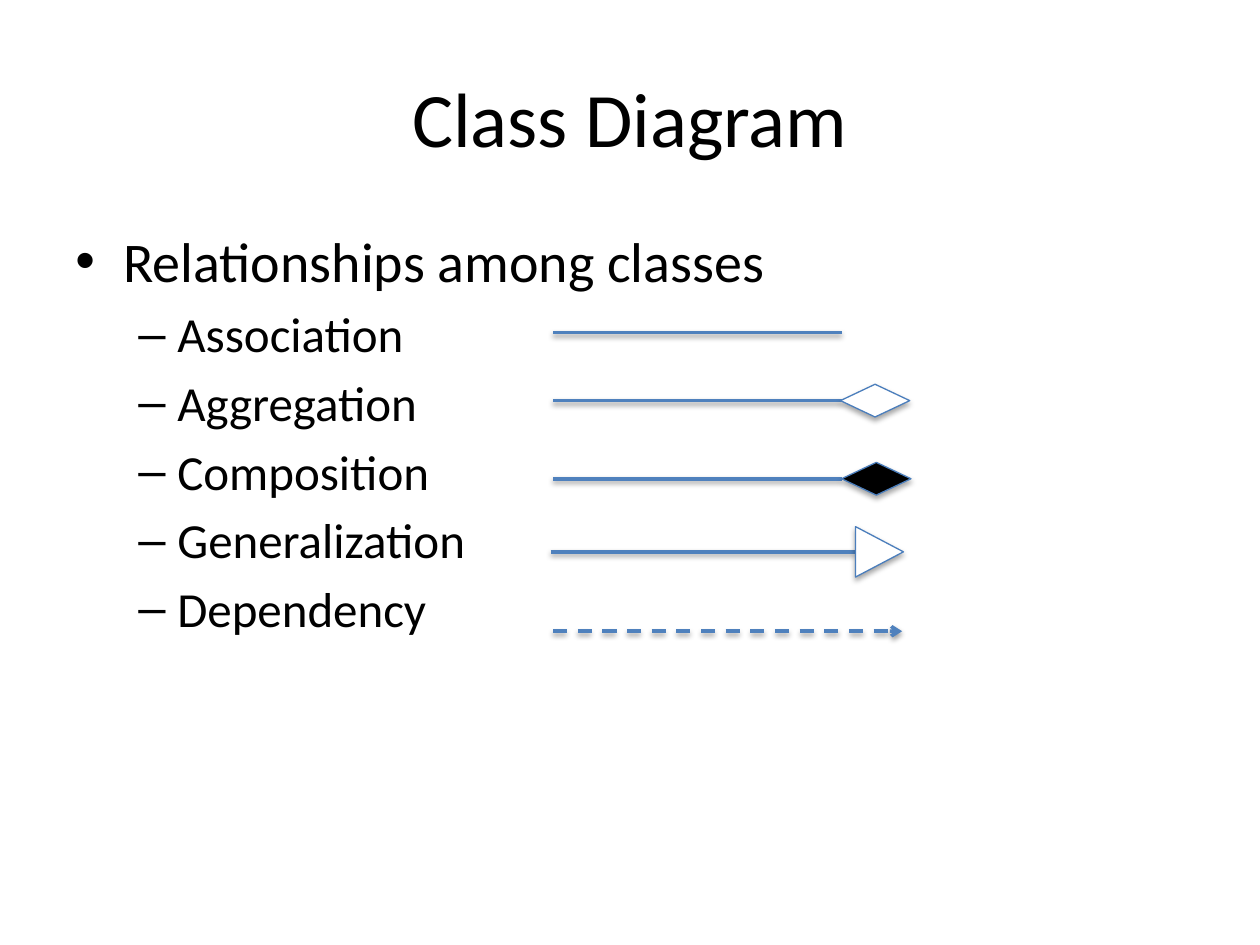
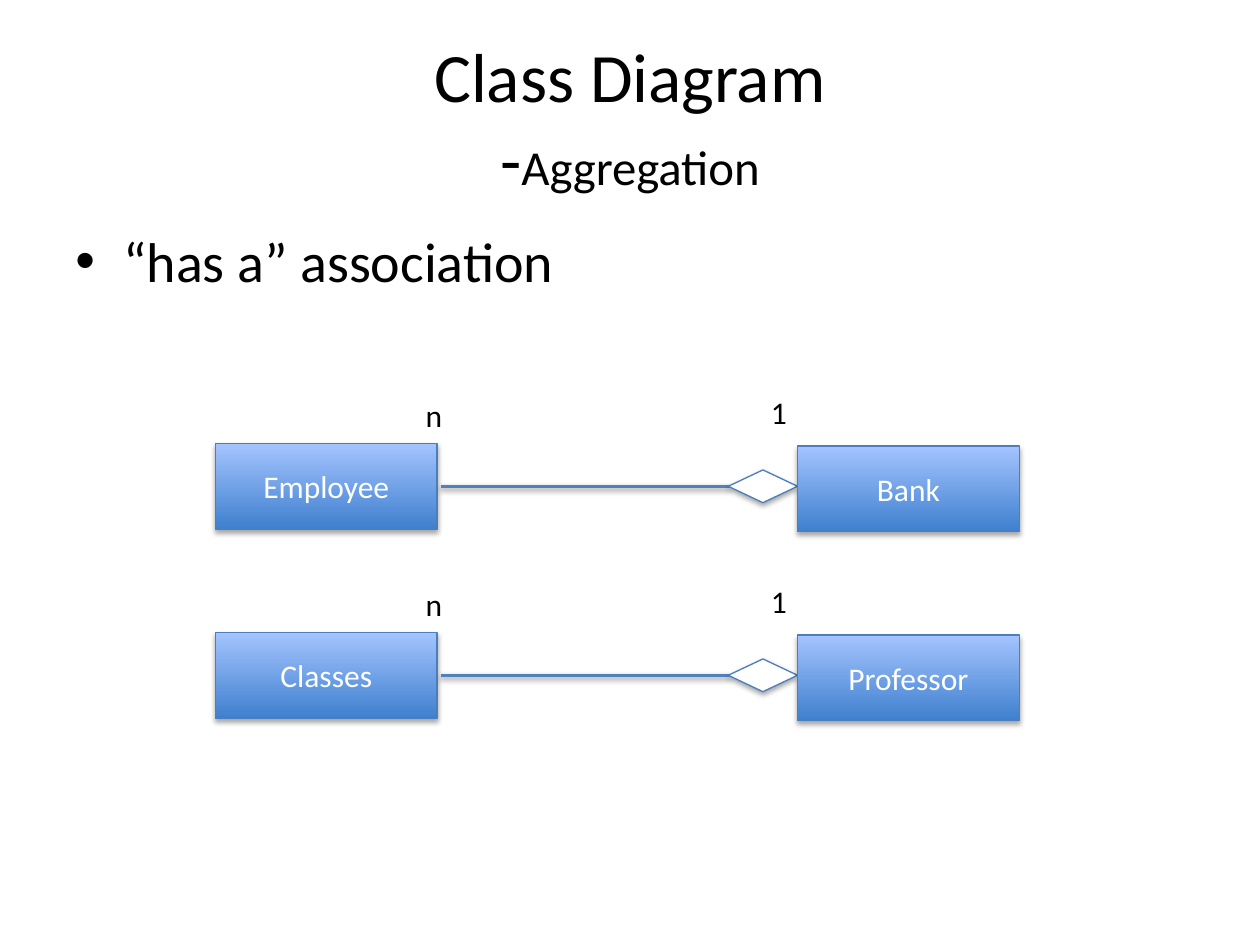
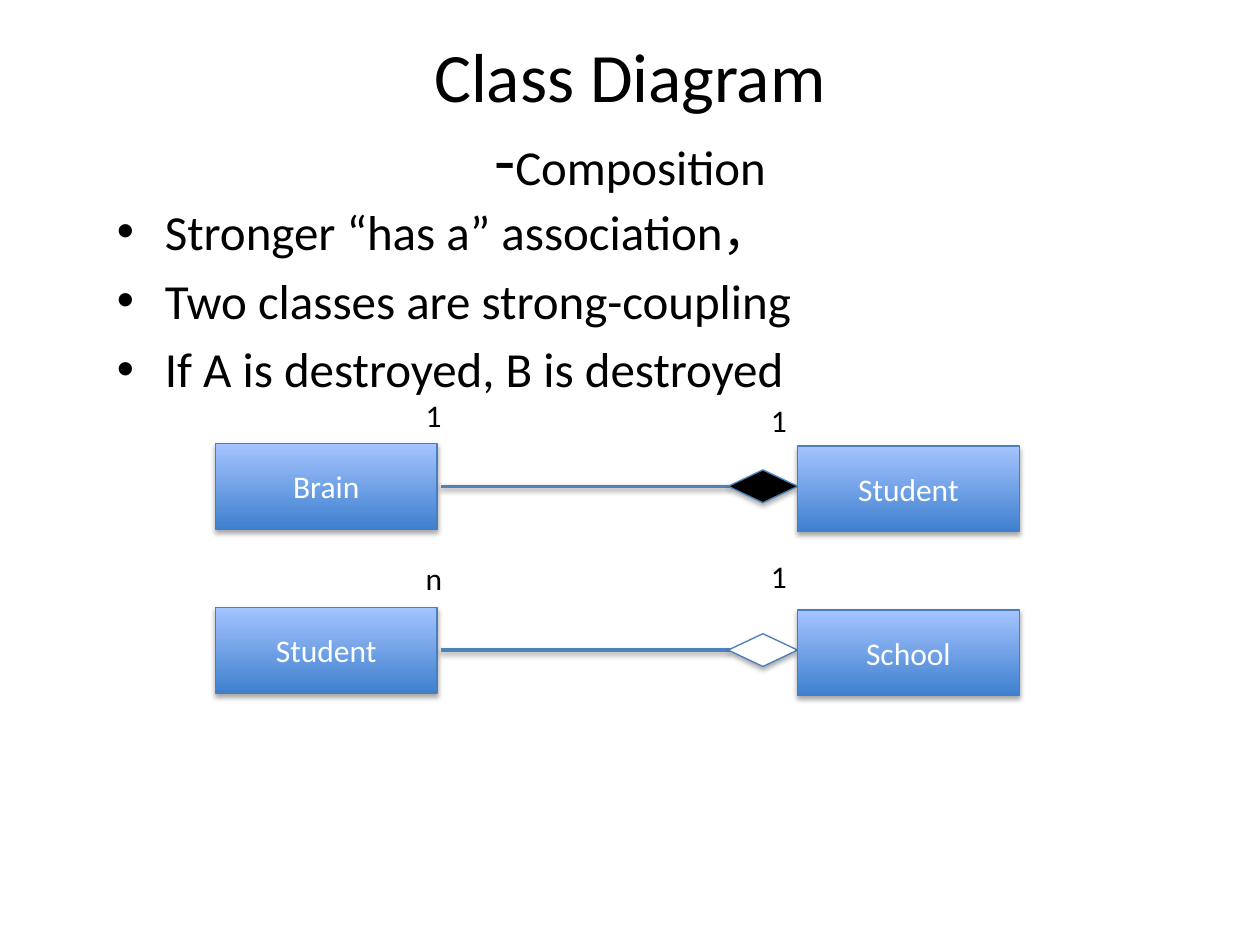
import pptx
import pptx.util
import pptx.dml.color
import pptx.enum.dml
import pptx.enum.shapes
import pptx.enum.text
import pptx.oxml
import pptx.oxml.ns
import lxml.etree

Inches = pptx.util.Inches
Pt = pptx.util.Pt
SHAPES = pptx.enum.shapes.MSO_SHAPE
ANCHOR = pptx.enum.text.MSO_ANCHOR
ALIGN = pptx.enum.text.PP_ALIGN

COLOURS = {
    "text": "000000",
    "light": "FFFFFF",
    "solid": "000000",
    "hollow": "FFFFFF",
    "line": "4F81BD",
    "outline": "4B7EBC",
    "class_bottom": "3F80CE",
    "class_top": "A4C4FF",
    "shadow": "000000",
}
FONT = "Calibri"
TITLE_BOX = (0.5, 0.3, 9, 1.25)
BODY_BOX = (0.5, 1.75, 9, 4.95)
DIAMOND_SIZE = (0.55, 0.26)
CLASS_SIZE = (1.76, 0.68)


def colour(name):
    return pptx.dml.color.RGBColor.from_string(COLOURS[name])


def style_font(font, size, name="text"):
    font.name = FONT
    font.size = Pt(size)
    font.color.rgb = colour(name)


def add_child(parent, tag, **attributes):
    child = lxml.etree.SubElement(parent, pptx.oxml.ns.qn(tag))
    for key, value in attributes.items():
        child.set(key, str(value))
    return child


def add_shadow(shape, alpha, distance):
    """Soft shadow straight below; the line must be styled beforehand."""
    effects = add_child(shape.element.spPr, "a:effectLst")
    outer = add_child(effects, "a:outerShdw", blurRad=Pt(3.1), dist=Pt(distance),
                      dir=90 * 60000, rotWithShape=0)
    shade = add_child(outer, "a:srgbClr", val=COLOURS["shadow"])
    add_child(shade, "a:alpha", val=alpha * 1000)


# Text
def add_text_box(page, box):
    frame = page.shapes.add_textbox(*map(Inches, box)).text_frame
    frame.word_wrap = True
    return frame


def add_title(page, title, subtitle=None):
    frame = add_text_box(page, TITLE_BOX)
    frame.vertical_anchor = ANCHOR.MIDDLE
    para = frame.paragraphs[0]
    para.alignment = ALIGN.CENTER
    style_font(para.font, 39.6 if subtitle else 44)
    para.add_run().text = title
    if subtitle:
        para.add_line_break()
        para.add_run().text = "-"
        span = para.add_run()
        span.text = subtitle
        span.font.size = Pt(27.9)


def add_bullets(page, box, items):
    """Items are (level, size, text)."""
    frame = add_text_box(page, box)
    for index, (level, size, text) in enumerate(items):
        para = frame.add_paragraph() if index else frame.paragraphs[0]
        para.text = text
        para.level = level
        para.space_before = Pt(0.2 * size)
        style_font(para.font, size)
        left, hang, mark = ((0.38, 0.38, "•"), (0.81, 0.31, "–"))[level]
        settings = para._p.get_or_add_pPr()
        settings.set("marL", str(Inches(left)))
        settings.set("indent", str(-Inches(hang)))
        bullet_font = pptx.oxml.parse_xml(
            '<a:buFont %s typeface="Arial"/>' % pptx.oxml.ns.nsdecls("a"))
        bullet = pptx.oxml.parse_xml(
            '<a:buChar %s char="%s"/>' % (pptx.oxml.ns.nsdecls("a"), mark))
        defaults = settings.find(pptx.oxml.ns.qn("a:defRPr"))
        defaults.addprevious(bullet_font)
        defaults.addprevious(bullet)


def add_multiplicity(page, left, top, text):
    frame = add_text_box(page, (left, top, 0.63, 0.4))
    frame.auto_size = pptx.enum.text.MSO_AUTO_SIZE.SHAPE_TO_FIT_TEXT
    para = frame.paragraphs[0]
    para.text = text
    style_font(para.font, 18)


# Diagram parts
def add_line(page, left, right, y, dashed_arrow=False):
    line = page.shapes.add_connector(
        pptx.enum.shapes.MSO_CONNECTOR.STRAIGHT,
        Inches(left), Inches(y), Inches(right), Inches(y))
    line.line.color.rgb = colour("line")
    line.line.width = Pt(2)
    if dashed_arrow:
        line.line.dash_style = pptx.enum.dml.MSO_LINE.DASH
        add_child(line.line._get_or_add_ln(), "a:tailEnd", type="arrow")
    add_shadow(line, 38, 1.6)


def add_outlined(page, kind, box, fill=None):
    """Shape with a thin outline; without a fill name it gets the gradient."""
    shape = page.shapes.add_shape(kind, *map(Inches, box))
    if fill:
        shape.fill.solid()
        shape.fill.fore_color.rgb = colour(fill)
    else:
        shape.fill.gradient()
        shape.fill.gradient_angle = 90
        for stop, name in zip(shape.fill.gradient_stops, ("class_bottom", "class_top")):
            stop.color.rgb = colour(name)
    shape.line.color.rgb = colour("outline")
    shape.line.width = Pt(0.75)
    add_shadow(shape, 35, 1.8)
    return shape


def add_diamond(page, left, middle, fill):
    width, height = DIAMOND_SIZE
    add_outlined(page, SHAPES.DIAMOND, (left, middle - height / 2, width, height), fill)


def add_class(page, left, top, name):
    shape = add_outlined(page, SHAPES.RECTANGLE, (left, top, *CLASS_SIZE))
    frame = shape.text_frame
    frame.vertical_anchor = ANCHOR.MIDDLE
    para = frame.paragraphs[0]
    para.text = name
    para.alignment = ALIGN.CENTER
    style_font(para.font, 18, "light")


def add_relation(page, left, top, part, whole, count, fill="hollow", whole_lift=0.45):
    """Part class, line with diamond, whole class, and both multiplicities."""
    middle = top + CLASS_SIZE[1] / 2
    add_class(page, left, top, part)
    add_line(page, left + 1.79, left + 4.09, middle)
    add_diamond(page, left + 4.07, middle, fill)
    add_class(page, left + 4.62, top + 0.02, whole)
    add_multiplicity(page, left + 4.31, top - whole_lift, "1")
    add_multiplicity(page, left + 1.57, top - 0.43, count)


def add_notation(page, left, top):
    """One sample line for each kind of relationship."""
    start = left + 0.02
    association, aggregation, composition, generalization, dependency = (
        top + drop for drop in (0, 0.54, 1.16, 1.74, 2.37))
    for y in (association, aggregation, composition):
        add_line(page, start, left + 2.31, y)
    add_diamond(page, left + 2.3, aggregation, "hollow")
    add_diamond(page, left + 2.31, composition, "solid")
    add_line(page, left, left + 2.42, generalization)
    triangle = add_outlined(page, SHAPES.ISOSCELES_TRIANGLE,
                            (left + 2.41, generalization - 0.19, 0.4, 0.38), "hollow")
    triangle.rotation = 90
    add_line(page, start, left + 2.79, dependency, dashed_arrow=True)


# Slides
def build_overview(page):
    add_title(page, "Class Diagram")
    kinds = ("Association", "Aggregation", "Composition", "Generalization", "Dependency")
    add_bullets(page, BODY_BOX, [(0, 32, "Relationships among classes")]
                + [(1, 28, kind) for kind in kinds])
    add_notation(page, 4.37, 2.64)


def build_aggregation(page):
    add_title(page, "Class Diagram", "Aggregation")
    add_bullets(page, BODY_BOX, [(0, 32, "“has a” association")])
    pairs = (("Employee", "Bank"), ("Classes", "Professor"))
    for index, (part, whole) in enumerate(pairs):
        add_relation(page, 1.71, 3.52 + 1.5 * index, part, whole, "n")


def build_composition(page):
    add_title(page, "Class Diagram", "Composition")
    lines = ("Stronger “has a” association，",
             "Two classes are strong-coupling",
             "If A is destroyed, B is destroyed")
    add_bullets(page, (0.83, 1.55, 8.92, 4.95), [(0, 28, line) for line in lines])
    add_relation(page, 1.71, 3.52, "Brain", "Student", "1", "solid", whole_lift=0.39)
    add_relation(page, 1.71, 4.82, "Student", "School", "n")


deck = pptx.Presentation()
deck.slide_width = Inches(10)
deck.slide_height = Inches(7.5)
for build in (build_overview, build_aggregation, build_composition):
    build(deck.slides.add_slide(deck.slide_layouts[6]))
deck.save("out.pptx")
